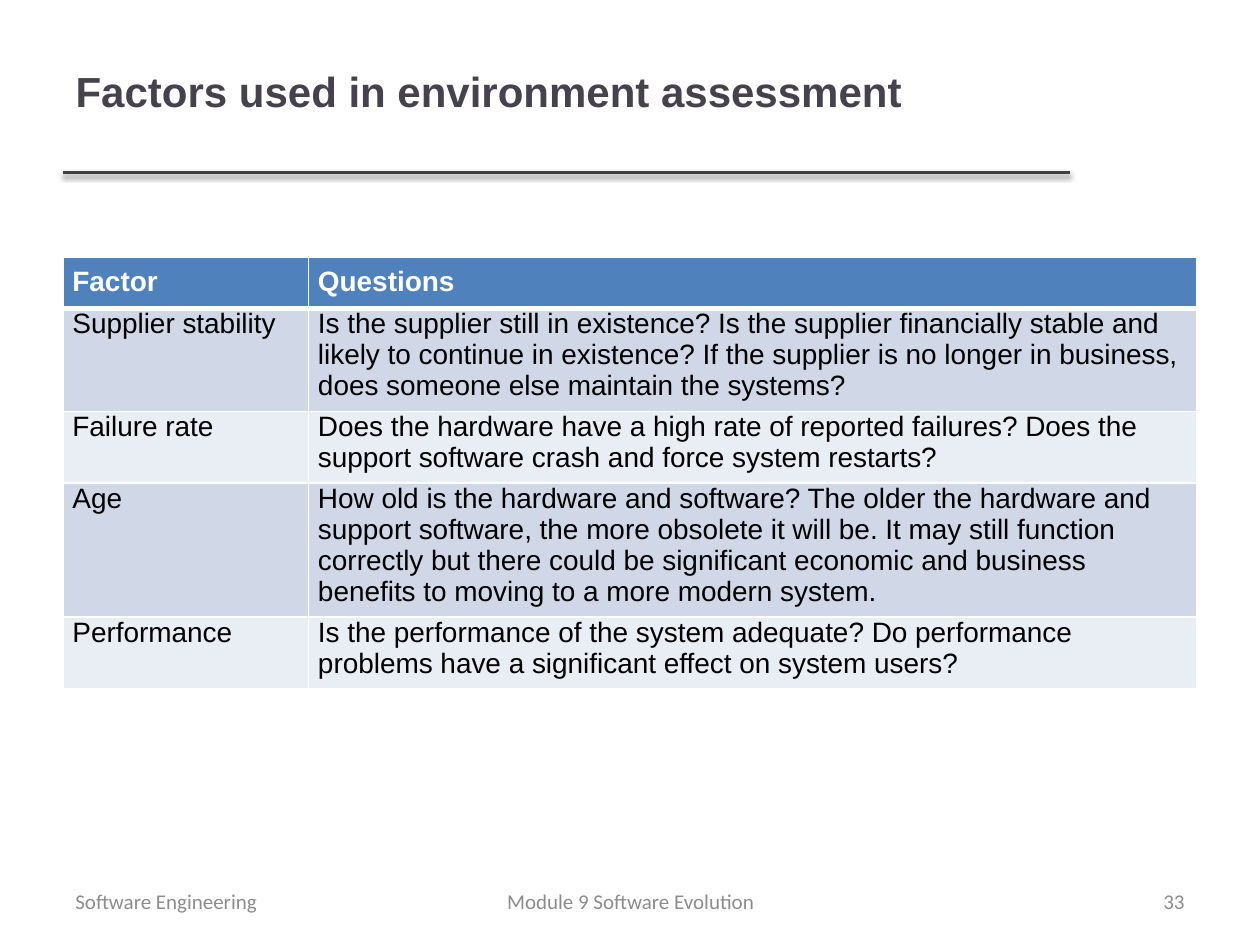
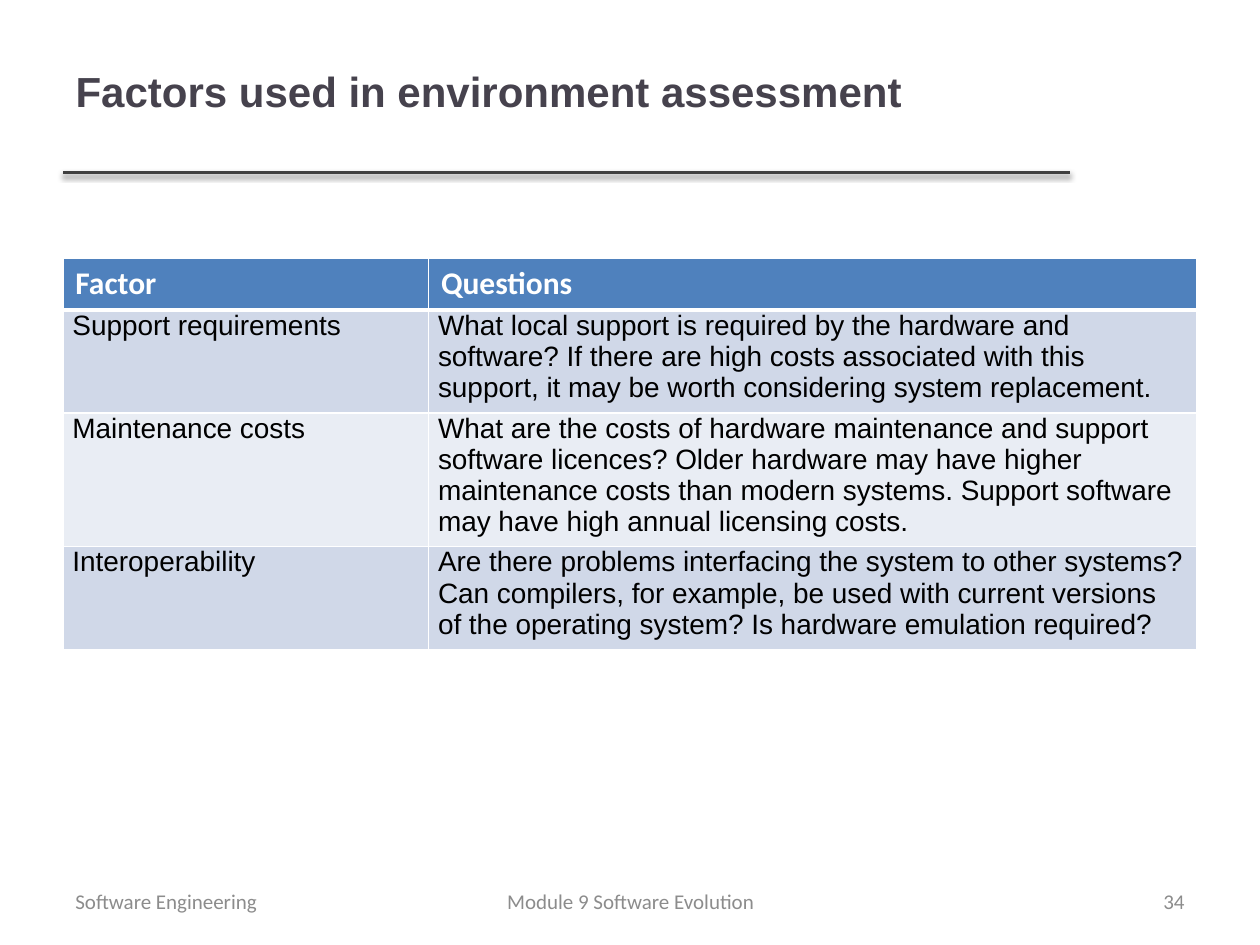
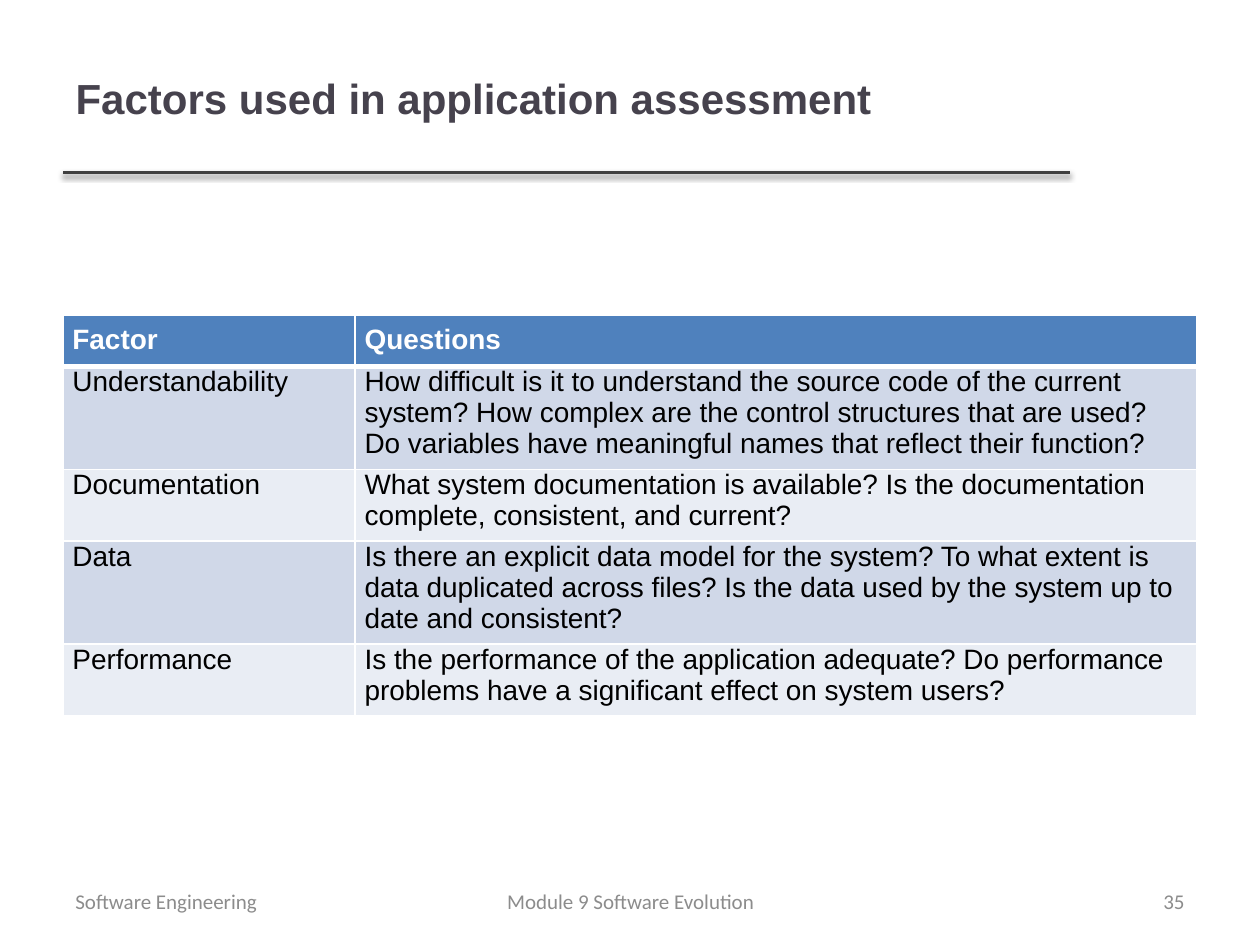
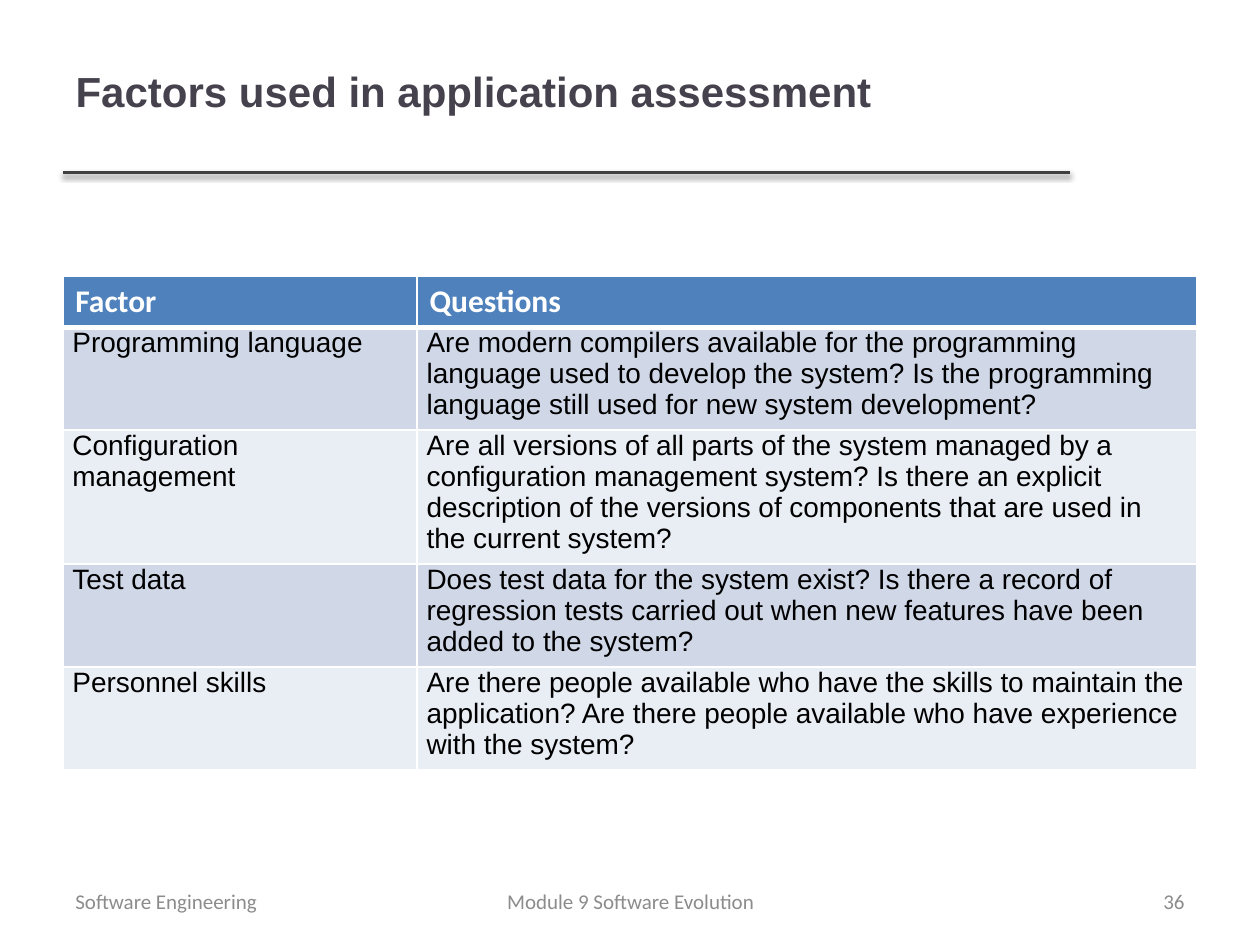
import pptx
import pptx.dml.color
import pptx.enum.shapes
import pptx.enum.text
import pptx.oxml
import pptx.oxml.ns
import pptx.util

Cm = pptx.util.Cm
Pt = pptx.util.Pt
RGBColor = pptx.dml.color.RGBColor
ALIGN = pptx.enum.text.PP_ALIGN
MIDDLE = pptx.enum.text.MSO_ANCHOR.MIDDLE

# Colours
TITLE_GREY = RGBColor(0x46, 0x42, 0x4D)
RULE_GREY = RGBColor(0x40, 0x40, 0x40)
FOOTER_GREY = RGBColor(0x8C, 0x8C, 0x8C)
HEADER_BLUE = RGBColor(0x4F, 0x81, 0xBD)
BANDS = (RGBColor(0xD0, 0xD8, 0xE8), RGBColor(0xE9, 0xED, 0xF4))
WHITE = RGBColor(0xFF, 0xFF, 0xFF)
BLACK = RGBColor(0, 0, 0)

# Text formats
TITLE_FONT = {"name": "Arial", "size": Pt(24), "bold": True}
FOOTER_FONT = {"name": "Calibri", "size": Pt(12), "bold": False}
BODY_FONT = {"name": "Arial", "size": Pt(16), "bold": False}
ARIAL_HEADER = {"name": "Arial", "size": Pt(16), "bold": True}
CALIBRI_HEADER = {"name": "Calibri", "size": Pt(18), "bold": True}

# Cell margins: left, top, right, bottom
BODY_MARGINS = (0.19, 0, 0.19, 0.19)
HEADER_MARGINS = {"Arial": (0.19, 0.19, 0.19, 0.19),
                  "Calibri": (0.25, 0.13, 0.25, 0.13)}

# Shared measures in centimetres
LEFT, WIDTH = 1.27, 22.86
ROW_HEIGHT = 1.04
FIRST_NUMBER = 33

SHADOW = (
    f'<a:effectLst {pptx.oxml.ns.nsdecls("a")}>'
    '<a:outerShdw blurRad="39370" dist="20320" dir="5400000" rotWithShape="0">'
    '<a:srgbClr val="000000"><a:alpha val="38000"/></a:srgbClr>'
    '</a:outerShdw></a:effectLst>')

PAGES = [
    {"title": "Factors used in environment assessment",
     "title_box": (0.23, 20.27), "top": 5.18, "height": 9.35,
     "factor_width": 4.95, "header_font": ARIAL_HEADER,
     "rows": [
         ("Supplier stability",
          "Is the supplier still in existence? Is the supplier financially "
          "stable and likely to continue in existence? If the supplier is no "
          "longer in business, does someone else maintain the systems?"),
         ("Failure rate",
          "Does the hardware have a high rate of reported failures? Does the "
          "support software crash and force system restarts?"),
         ("Age",
          "How old is the hardware and software? The older the hardware and "
          "support software, the more obsolete it will be. It may still "
          "function correctly but there could be significant economic and "
          "business benefits to moving to a more modern system."),
         ("Performance",
          "Is the performance of the system adequate? Do performance problems "
          "have a significant effect on system users?")]},
    {"title": "Factors used in environment assessment",
     "title_box": (0.23, 20.27), "top": 5.21, "height": 8.41,
     "factor_width": 7.37, "header_font": CALIBRI_HEADER,
     "rows": [
         ("Support requirements",
          "What local support is required by the hardware and software? If "
          "there are high costs associated with this support, it may be worth "
          "considering system replacement."),
         ("Maintenance costs",
          "What are the costs of hardware maintenance and support software "
          "licences? Older hardware may have higher maintenance costs than "
          "modern systems. Support software may have high annual licensing "
          "costs."),
         ("Interoperability",
          "Are there problems interfacing the system to other systems? Can "
          "compilers, for example, be used with current versions of the "
          "operating system? Is hardware emulation required?")]},
    {"title": "Factors used in application assessment",
     "title_box": (0.38, WIDTH), "top": 6.35, "height": 8.66,
     "factor_width": 5.89, "header_font": ARIAL_HEADER,
     "rows": [
         ("Understandability",
          "How difficult is it to understand the source code of the current "
          "system? How complex are the control structures that are used? Do "
          "variables have meaningful names that reflect their function?"),
         ("Documentation",
          "What system documentation is available? Is the documentation "
          "complete, consistent, and current?"),
         ("Data",
          "Is there an explicit data model for the system? To what extent is "
          "data duplicated across files? Is the data used by the system up to "
          "date and consistent?"),
         ("Performance",
          "Is the performance of the application adequate? Do performance "
          "problems have a significant effect on system users?")]},
    {"title": "Factors used in application assessment",
     "title_box": (0.23, 20.27), "top": 5.56, "height": 10.64,
     "factor_width": 7.14, "header_font": CALIBRI_HEADER,
     "rows": [
         ("Programming language",
          "Are modern compilers available for the programming language used "
          "to develop the system? Is the programming language still used for "
          "new system development?"),
         ("Configuration management",
          "Are all versions of all parts of the system managed by a "
          "configuration management system? Is there an explicit description "
          "of the versions of components that are used in the current "
          "system?"),
         ("Test data",
          "Does test data for the system exist? Is there a record of "
          "regression tests carried out when new features have been added to "
          "the system?"),
         ("Personnel skills",
          "Are there people available who have the skills to maintain the "
          "application? Are there people available who have experience with "
          "the system?")]},
]


def set_all(target, values):
    for name, value in values.items():
        setattr(target, name, value)


def write(frame, text, font, colour, align=ALIGN.LEFT, space_after=0):
    """Put one formatted paragraph into a text frame."""
    para = frame.paragraphs[0]
    set_all(para, {"alignment": align, "space_after": Pt(space_after)})
    span = para.add_run()
    span.text = text
    set_all(span.font, font)
    span.font.color.rgb = colour


def add_title(page, text, top, width):
    title = page.shapes.title
    set_all(title, {"left": Cm(LEFT), "top": Cm(top),
                    "width": Cm(width), "height": Cm(3.18)})
    title.text_frame.vertical_anchor = MIDDLE
    write(title.text_frame, text, TITLE_FONT, TITLE_GREY)


def add_layout_rule(page):
    """Draw the shadowed rule and move it to the layout all pages share."""
    rule = page.shapes.add_connector(
        pptx.enum.shapes.MSO_CONNECTOR.STRAIGHT,
        Cm(LEFT), Cm(3.48), Cm(21.56), Cm(3.48))
    rule.line.color.rgb = RULE_GREY
    rule.line.width = Pt(2)
    rule.element.spPr.append(pptx.oxml.parse_xml(SHADOW))
    rule.element.nvCxnSpPr.cNvPr.set("id", "20")
    page.slide_layout.shapes.element.append(rule.element)


def add_footer(page, number):
    for text, left, width, align in (
            ("Module 9 Software Evolution", 8.69, 8.05, ALIGN.CENTER),
            (str(number), 18.21, 5.92, ALIGN.RIGHT),
            ("Software Engineering", LEFT, 5.92, ALIGN.LEFT)):
        box = page.shapes.add_textbox(Cm(left), Cm(17.65), Cm(width), Cm(1.02))
        set_all(box.text_frame, {"word_wrap": True, "vertical_anchor": MIDDLE})
        write(box.text_frame, text, FOOTER_FONT, FOOTER_GREY, align)


def add_borders(cell, top, bottom):
    properties = cell._tc.get_or_add_tcPr()
    for side, points in (("L", 1), ("R", 1), ("T", top), ("B", bottom)):
        properties.append(pptx.oxml.parse_xml(
            f'<a:ln{side} {pptx.oxml.ns.nsdecls("a")} w="{Pt(points)}">'
            f'<a:solidFill><a:srgbClr val="{WHITE}"/></a:solidFill>'
            f'</a:ln{side}>'))


def fill_cell(cell, text, row, header_font):
    header = row == 0
    add_borders(cell, top=3 if row == 1 else 1, bottom=3 if header else 1)
    cell.fill.solid()
    cell.fill.fore_color.rgb = HEADER_BLUE if header else BANDS[(row - 1) % 2]
    margins = HEADER_MARGINS[header_font["name"]] if header else BODY_MARGINS
    for side, margin in zip(("left", "top", "right", "bottom"), margins):
        setattr(cell, f"margin_{side}", Cm(margin))
    tight = header and header_font is CALIBRI_HEADER
    write(cell.text_frame, text, header_font if header else BODY_FONT,
          WHITE if header else BLACK, space_after=0 if tight else 6)


def add_factor_table(page, content):
    rows = [("Factor", "Questions")] + content["rows"]
    frame = page.shapes.add_table(
        len(rows), 2, Cm(LEFT), Cm(content["top"]), Cm(WIDTH),
        Cm(content["height"]))
    table = frame.table
    table.horz_banding = False
    table.columns[0].width = Cm(content["factor_width"])
    table.columns[1].width = Cm(WIDTH - content["factor_width"])
    for index, texts in enumerate(rows):
        table.rows[index].height = Cm(ROW_HEIGHT)
        for column, text in enumerate(texts):
            fill_cell(table.cell(index, column), text, index,
                      content["header_font"])
    # Rows grow with their text, so the frame is taller than their minimum
    frame.height = Cm(content["height"])


def main():
    deck = pptx.Presentation()
    deck.slide_width, deck.slide_height = Cm(25.4), Cm(19.05)
    title_only = deck.slide_layouts[5]
    for number, content in enumerate(PAGES, FIRST_NUMBER):
        page = deck.slides.add_slide(title_only)
        if number == FIRST_NUMBER:
            add_layout_rule(page)
        add_title(page, content["title"], *content["title_box"])
        add_factor_table(page, content)
        add_footer(page, number)
    deck.save("out.pptx")


if __name__ == "__main__":
    main()
